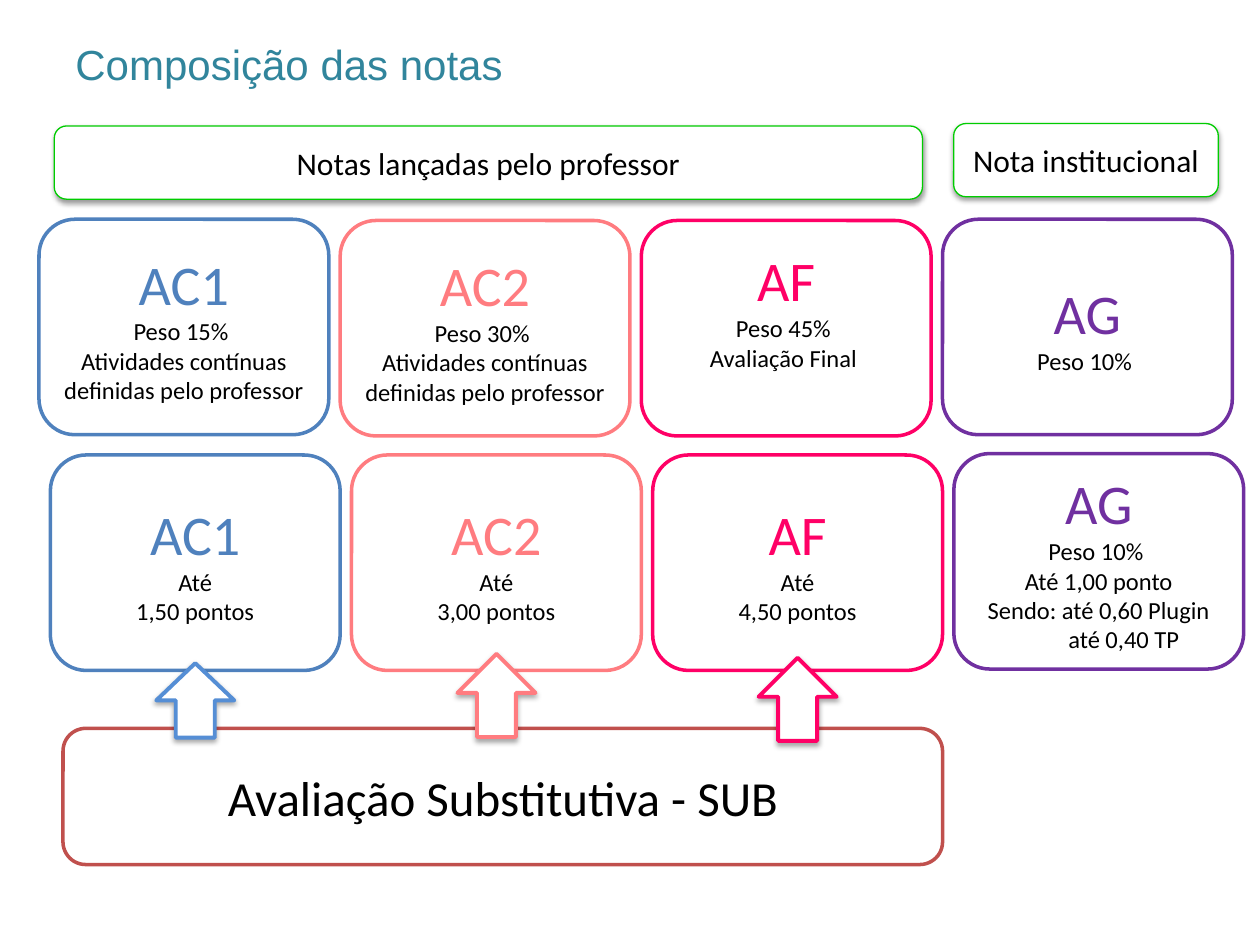
"""Build the slide on how the course grades are made up."""
from lxml import etree
from pptx import Presentation
from pptx.dml.color import RGBColor
from pptx.enum.shapes import MSO_SHAPE
from pptx.enum.text import MSO_ANCHOR, PP_ALIGN
from pptx.oxml.ns import qn
from pptx.util import Pt

ROUND = MSO_SHAPE.ROUNDED_RECTANGLE
ARROW = MSO_SHAPE.RIGHT_ARROW
MIDDLE = MSO_ANCHOR.MIDDLE
CENTER = PP_ALIGN.CENTER
LEFT = PP_ALIGN.LEFT

BLACK = RGBColor(0x00, 0x00, 0x00)
WHITE = RGBColor(0xFF, 0xFF, 0xFF)
TEAL = RGBColor(0x31, 0x85, 0x9C)
BLUE = RGBColor(0x4F, 0x81, 0xBD)
SKY = RGBColor(0x55, 0x8E, 0xD5)
CORAL = RGBColor(0xFF, 0x7C, 0x80)
PINK = RGBColor(0xFF, 0x00, 0x66)
PURPLE = RGBColor(0x70, 0x30, 0xA0)
BRICK = RGBColor(0xC0, 0x50, 0x4D)
GREEN = RGBColor(0x00, 0xCC, 0x00)

CARD_W, CARD_H, PITCH = 165.6, 123.1, 172.1
WEIGHT_X, POINT_X = 22.3, 28.8
TASKS = "Atividades contínuas definidas pelo professor"
WEIGHTS = [
    ("AC1", BLUE, 125.3, ["Peso 15% ", TASKS]),
    ("AC2", CORAL, 126, ["Peso 30% ", TASKS]),
    ("AF", PINK, 126, ["Peso 45% ", "Avaliação Final "]),
    ("AG", PURPLE, 125.3, ["Peso 10% "]),
]
POINTS = [
    ("AC1", BLUE, 260, ["Até", "1,50 pontos"]),
    ("AC2", CORAL, 260, ["Até", "3,00 pontos"]),
    ("AF", PINK, 260, ["Até", "4,50 pontos"]),
    ("AG", PURPLE, 259.2, ["Peso 10% ", "Até 1,00 ponto", "Sendo: até 0,60 Plugin"]),
]
ARROWS = [(SKY, 400.2, 42.5), (CORAL, 397.4, 47.5), (PINK, 399.6, 47.5)]


def write(shape, text, size=14, color=BLACK, font="Calibri", align=CENTER, indent=0):
    """Add a formatted paragraph to a shape, filling the first one if it is free."""
    frame = shape.text_frame
    frame.word_wrap = True
    frame.vertical_anchor = MIDDLE
    para = frame.add_paragraph() if frame.text else frame.paragraphs[0]
    para.alignment = align
    if indent:
        para._p.get_or_add_pPr().set("marL", str(Pt(indent)))
    run = para.add_run()
    run.text = text
    run.font.size = Pt(size)
    run.font.name = font
    run.font.color.rgb = color


def shade(shape, alpha):
    """Give a shape a soft black shadow that falls straight down."""
    effects = shape._element.spPr.find(qn("a:effectLst"))
    outer = etree.SubElement(effects, qn("a:outerShdw"), blurRad=str(Pt(3.1)),
                             dist=str(Pt(1.7)), dir="5400000", rotWithShape="0")
    tint = etree.SubElement(outer, qn("a:srgbClr"), val=str(BLACK))
    etree.SubElement(tint, qn("a:alpha"), val=str(alpha * 1000))


def draw(slide, kind, left, top, width, height, color, weight=2, alpha=0):
    """Draw a white shape with a coloured outline and an optional shadow."""
    shape = slide.shapes.add_shape(kind, Pt(left), Pt(top), Pt(width), Pt(height))
    shape.shadow.inherit = False
    shape.fill.solid()
    shape.fill.fore_color.rgb = WHITE
    shape.line.color.rgb = color
    shape.line.width = Pt(weight)
    if alpha:
        shade(shape, alpha)
    return shape


def row(slide, left, cards):
    """Draw a row of grade cards and return them."""
    boxes = []
    for col, (name, color, top, lines) in enumerate(cards):
        box = draw(slide, ROUND, left + col * PITCH, top, CARD_W, CARD_H, color)
        write(box, name, size=32, color=color)
        for line in lines:
            write(box, line)
        boxes.append(box)
    return boxes


def label(slide, text, left, top, width):
    """Draw a green heading above the cards."""
    box = draw(slide, ROUND, left, top, width, 41.8, GREEN, weight=0.75, alpha=38)
    write(box, text, size=18)


def arrows(slide):
    """Point from the substitute exam up to each card it can replace."""
    for col, (color, mid, length) in enumerate(ARROWS):
        center = POINT_X + CARD_W / 2 + col * PITCH
        arrow = draw(slide, ARROW, center - length / 2, mid - 22.3, length, 44.6,
                     color, weight=2.25, alpha=35)
        arrow.rotation = 270


def main():
    """Build and save the slide."""
    deck = Presentation()
    deck.slide_width, deck.slide_height = Pt(720), Pt(540)
    slide = deck.slides.add_slide(deck.slide_layouts[6])

    title = slide.shapes.add_textbox(Pt(29.5), Pt(0.7), Pt(641.5), Pt(71.3))
    write(title, "Composição das notas", size=24, color=TEAL, font="Arial",
          align=LEFT, indent=6.5)

    final = row(slide, WEIGHT_X, WEIGHTS)[2]
    final.text_frame.margin_bottom = Pt(25.6)
    school = row(slide, POINT_X, POINTS)[3]
    write(school, "até 0,40 TP", indent=28.6)

    exam = draw(slide, ROUND, 36, 416.2, 502.6, 77.8, BRICK)
    write(exam, "Avaliação Substitutiva - SUB", size=28)
    arrows(slide)

    label(slide, "Notas lançadas pelo professor", 31, 72, 496.1)
    label(slide, "Nota institucional", 545, 70.6, 151.2)
    deck.save("out.pptx")


if __name__ == "__main__":
    main()
